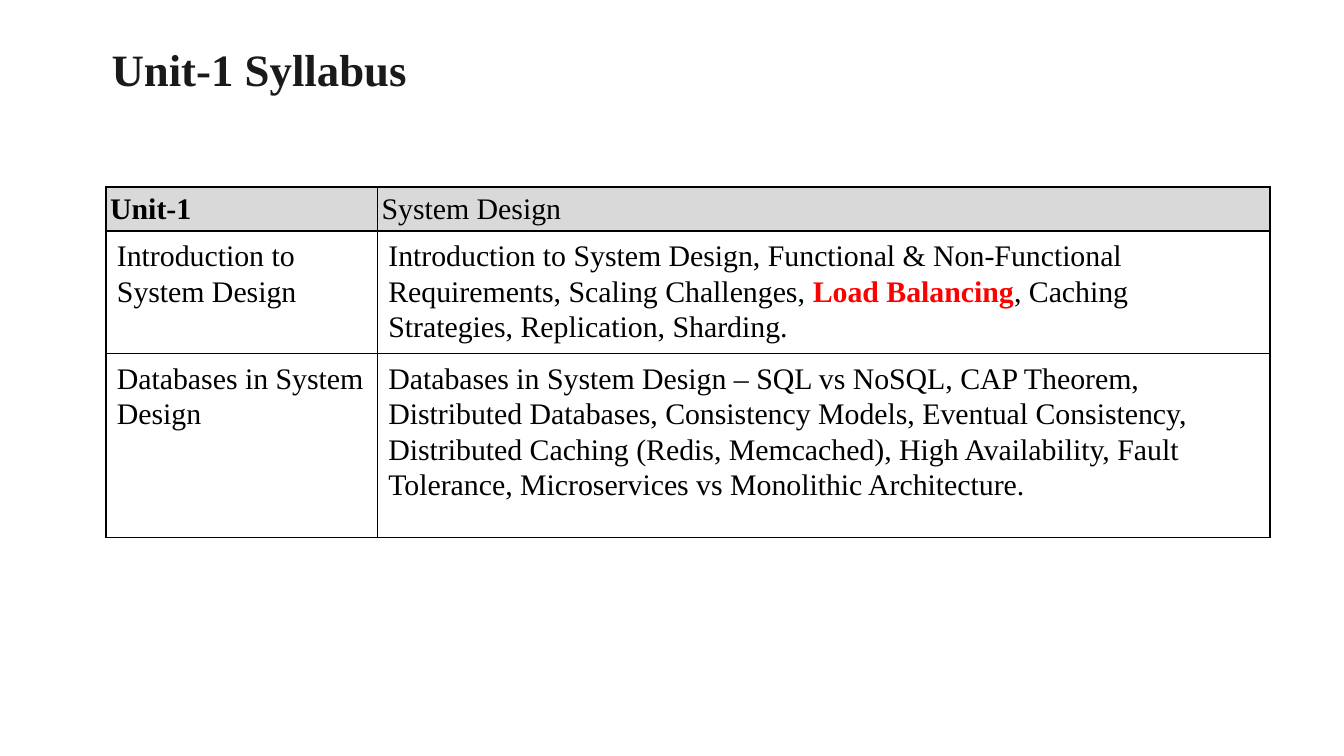
from lxml import etree
from pptx import Presentation
from pptx.dml.color import RGBColor
from pptx.enum.text import MSO_ANCHOR, PP_ALIGN
from pptx.oxml.ns import qn
from pptx.util import Inches, Pt

TOP, MIDDLE = MSO_ANCHOR.TOP, MSO_ANCHOR.MIDDLE
LEFT, JUSTIFY = PP_ALIGN.LEFT, PP_ALIGN.JUSTIFY
FONT = "Times New Roman"
BLACK, RED, GREY, WHITE, INK = "000000", "FF0000", "D9D9D9", "FFFFFF", "1A1A1A"
HIGHLIGHT = "Load Balancing"
COLUMN_WIDTHS = [2.02, 6.64]
ROW_HEIGHTS = [0.33, 0.91, 1.37]
SYLLABUS = [
    ["Unit-1", "System Design"],
    ["Introduction to System Design",
     "Introduction to System Design, Functional & Non-Functional Requirements, "
     "Scaling Challenges, Load Balancing, Caching Strategies, Replication, Sharding."],
    ["Databases in System Design",
     "Databases in System Design – SQL vs NoSQL, CAP Theorem, Distributed Databases, "
     "Consistency Models, Eventual Consistency, Distributed Caching (Redis, Memcached), "
     "High Availability, Fault Tolerance, Microservices vs Monolithic Architecture."],
]


def style(span, size, color, bold):
    span.font.name = FONT
    span.font.size = Pt(size)
    span.font.bold = bold
    span.font.color.rgb = RGBColor.from_string(color)


def add_borders(cell):
    properties = cell._tc.get_or_add_tcPr()
    for side in ("lnL", "lnR", "lnT", "lnB"):
        line = etree.SubElement(properties, qn(f"a:{side}"), w=str(Pt(1)))
        fill = etree.SubElement(line, qn("a:solidFill"))
        etree.SubElement(fill, qn("a:srgbClr"), val=BLACK)


deck = Presentation()
deck.slide_width = Inches(10)
deck.slide_height = deck.slide_width * 9 // 16
page = deck.slides.add_slide(deck.slide_layouts[5])

title = page.shapes.title
title.left, title.top = Inches(0.83), Inches(0.31)
title.width, title.height = Inches(8.62), Inches(0.53)
frame = title.text_frame
frame.text = "Unit-1 Syllabus"
frame.vertical_anchor = TOP
frame.margin_left = frame.margin_right = frame.margin_top = frame.margin_bottom = 0
frame.paragraphs[0].alignment = LEFT
style(frame.paragraphs[0].runs[0], 24, INK, True)

table = page.shapes.add_table(
    len(ROW_HEIGHTS), len(COLUMN_WIDTHS), Inches(0.79), Inches(1.39),
    Inches(sum(COLUMN_WIDTHS)), Inches(sum(ROW_HEIGHTS))).table
for column, width in zip(table.columns, COLUMN_WIDTHS):
    column.width = Inches(width)
for row, height in zip(table.rows, ROW_HEIGHTS):
    row.height = Inches(height)

for r, texts in enumerate(SYLLABUS):
    header = r == 0
    for c, text in enumerate(texts):
        cell = table.cell(r, c)
        add_borders(cell)
        cell.fill.solid()
        cell.fill.fore_color.rgb = RGBColor.from_string(GREY if header else WHITE)
        cell.vertical_anchor = MIDDLE if header else TOP
        cell.margin_left = cell.margin_right = Inches(0.03 if header else 0.08)
        cell.margin_top = cell.margin_bottom = Inches(0.02 if header else 0.05)
        para = cell.text_frame.paragraphs[0]
        para.alignment = JUSTIFY if header else LEFT
        if not header:
            para.line_spacing = 1.07
            if c == 0:
                para.space_after = Pt(0.8)
        before, match, after = text.partition(HIGHLIGHT)
        for part in filter(None, (before, match, after)):
            span = para.add_run()
            span.text = part
            marked = part == HIGHLIGHT
            style(span, 16, RED if marked else BLACK, marked or (header and c == 0))

deck.save("out.pptx")
